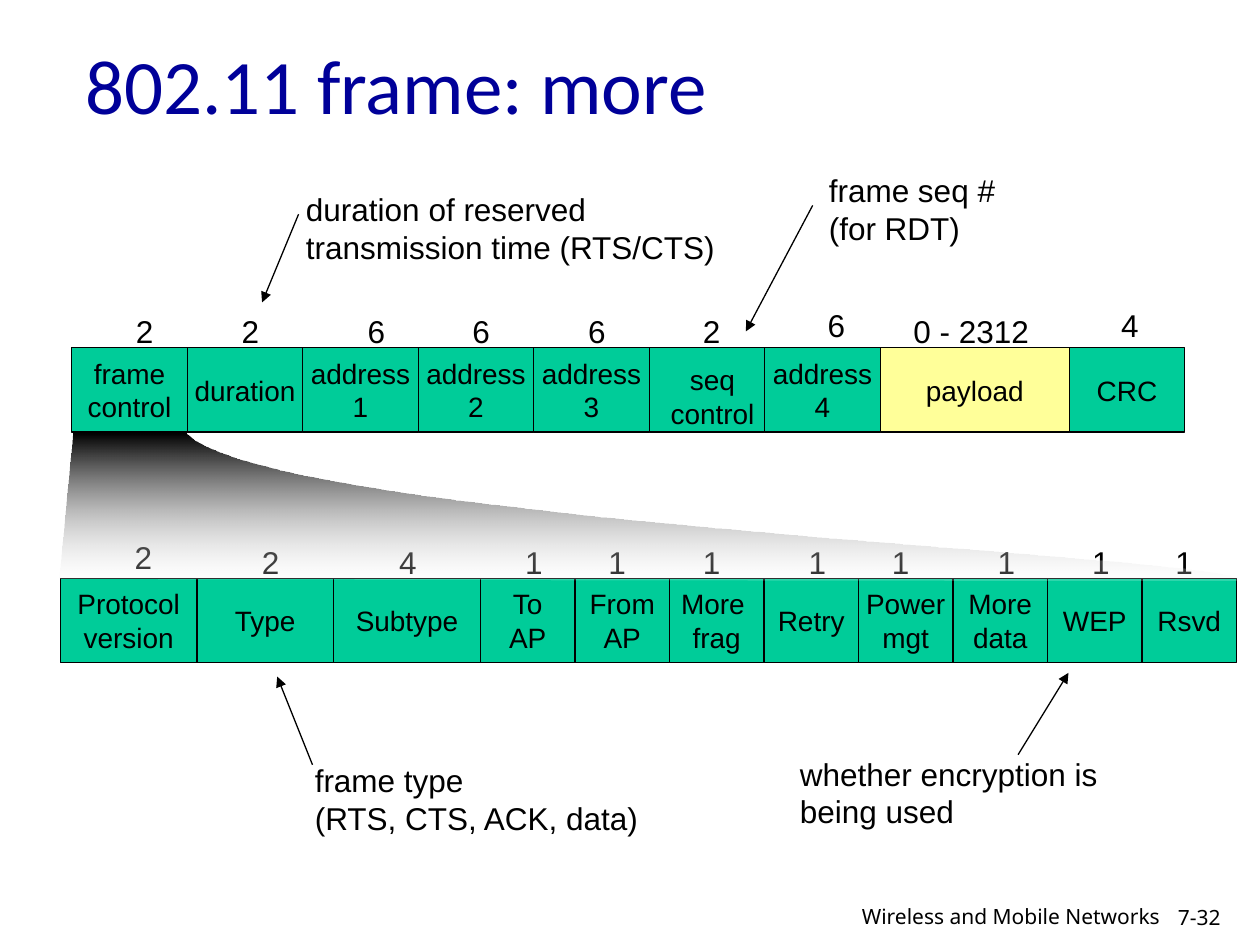
from dataclasses import dataclass

from lxml.etree import SubElement
from pptx import Presentation
from pptx.dml.color import RGBColor
from pptx.enum.shapes import MSO_CONNECTOR, MSO_SHAPE
from pptx.enum.text import MSO_ANCHOR, MSO_AUTO_SIZE, PP_ALIGN
from pptx.oxml.ns import qn
from pptx.util import Inches, Pt


@dataclass(frozen=True)
class Theme:
    ink: str = "000000"
    title: str = "000099"
    field: str = "00CC99"
    payload: str = "FFFF99"
    paper: str = "FFFFFF"
    body_font: str = "Arial"
    title_font: str = "Calibri"
    footer_font: str = "Noto Sans"
    title_size: int = 44
    note_size: int = 18
    field_size: int = 16
    footer_size: int = 12
    line_width: float = 0.75


class FrameSlide:
    def __init__(self, slide, theme):
        self.slide = slide
        self.theme = theme

    def set_text(self, frame, text, size, font=None, color=None, align=PP_ALIGN.LEFT):
        frame.text = text
        for paragraph in frame.paragraphs:
            paragraph.alignment = align
            for run in paragraph.runs:
                run.font.size = Pt(size)
                run.font.name = font or self.theme.body_font
                run.font.color.rgb = RGBColor.from_string(color or self.theme.ink)

    def label(self, text, box, size, parent=None, wrap=False, **style):
        shapes = (parent or self.slide).shapes
        frame = shapes.add_textbox(*map(Inches, box)).text_frame
        frame.word_wrap = wrap
        frame.auto_size = MSO_AUTO_SIZE.NONE if wrap else MSO_AUTO_SIZE.SHAPE_TO_FIT_TEXT
        self.set_text(frame, text, size, **style)

    def field(self, parent, text, box, color):
        cell = parent.shapes.add_shape(MSO_SHAPE.RECTANGLE, *map(Inches, box))
        cell.shadow.inherit = False
        cell.fill.solid()
        cell.fill.fore_color.rgb = RGBColor.from_string(color)
        cell.line.color.rgb = RGBColor.from_string(self.theme.ink)
        cell.line.width = Pt(self.theme.line_width)
        if text:
            frame = cell.text_frame
            frame.word_wrap = False
            frame.vertical_anchor = MSO_ANCHOR.MIDDLE
            self.set_text(frame, text, self.theme.field_size, align=PP_ALIGN.CENTER)

    def frame_row(self, left, top, fields, sizes):
        """Lay fields side by side; widths are in twelfths of an inch."""
        row = self.slide.shapes.add_group_shape()
        for text, twelfths in fields:
            width = twelfths / 12
            color = self.theme.payload if text == "payload" else self.theme.field
            self.field(row, text, (left, top, width, 0.67), color)
            left += width
        for text, x, y in sizes:
            width = 0.34 if len(text) == 1 else 1.12
            self.label(text, (x, y, width, 0.4), self.theme.note_size, row)
        return row

    def arrow(self, start, end):
        line = self.slide.shapes.add_connector(
            MSO_CONNECTOR.STRAIGHT, *map(Inches, start + end))
        line.line.color.rgb = RGBColor.from_string(self.theme.ink)
        line.line.width = Pt(self.theme.line_width)
        properties = line._element.spPr
        SubElement(properties.find(qn("a:ln")), qn("a:tailEnd"), type="triangle")
        SubElement(properties, qn("a:effectLst"))

    def fading_area(self, points, end_alpha):
        corners = [tuple(map(Inches, point)) for point in points]
        builder = self.slide.shapes.build_freeform(*corners[0])
        builder.add_line_segments(corners[1:], close=True)
        area = builder.convert_to_shape()
        area.shadow.inherit = False
        area.line.fill.background()
        area.fill.gradient()
        area.fill.gradient_angle = 270
        stops = area.fill.gradient_stops
        for stop, color in zip(stops, (self.theme.ink, self.theme.paper)):
            stop.color.rgb = RGBColor.from_string(color)
        last_color = list(area._element.spPr.iter(qn("a:srgbClr")))[-1]
        SubElement(last_color, qn("a:alpha"), val=str(end_alpha * 1000))


def bezier(p0, p1, p2, p3, steps=40):
    for step in range(1, steps + 1):
        t = step / steps
        u = 1 - t
        yield tuple(u**3 * a + 3 * u * u * t * b + 3 * u * t * t * c + t**3 * d
                    for a, b, c, d in zip(p0, p1, p2, p3))


theme = Theme()
deck = Presentation()
deck.slide_width, deck.slide_height = Inches(10), Inches(7.5)
page = FrameSlide(deck.slides.add_slide(deck.slide_layouts[6]), theme)

# Frame fields with their byte counts
frame_fields = [
    ("frame\ncontrol", 11), ("duration", 11), ("address\n1", 11),
    ("address\n2", 11), ("address\n3", 11), ("", 11), ("address\n4", 11),
    ("payload", 18), ("CRC", 11),
]
byte_counts = [
    ("2", 0.98, 2.43), ("2", 1.82, 2.43), ("6", 2.82, 2.43),
    ("6", 3.65, 2.43), ("6", 4.57, 2.43), ("2", 5.48, 2.43),
    ("6", 6.47, 2.38), ("0 - 2312", 7.15, 2.43), ("4", 8.8, 2.38),
]
frame_row = page.frame_row(0.57, 2.76, frame_fields, byte_counts)
page.label("seq\ncontrol", (5.22, 2.83, 0.87, 0.64), theme.field_size,
           frame_row, align=PP_ALIGN.CENTER)

# Frame control fields with their bit counts
control_fields = [
    ("Protocol\nversion", 13), ("Type", 13), ("Subtype", 14), ("To\nAP", 9),
    ("From\nAP", 9), ("More \nfrag", 9), ("Retry", 9), ("Power\nmgt", 9),
    ("More\ndata", 9), ("WEP", 9), ("Rsvd", 9),
]
bit_counts = [("2", 0.97, 4.22), ("2", 1.98, 4.26), ("4", 3.07, 4.26)]
bit_counts += [("1", x, 4.26)
               for x in (4.07, 4.73, 5.48, 6.32, 6.98, 7.82, 8.57, 9.23)]
page.frame_row(0.48, 4.59, control_fields, bit_counts)

# Zoom from the frame control field to its parts
zoom_right = (9.83, 4.61)
zoom_edge = bezier(zoom_right, (10, 4.41), (2.16, 4.15), (1.48, 3.44))
page.fading_area([(0.58, 3.44), (0.47, 4.59), zoom_right, *zoom_edge], end_alpha=18)

# Notes and their arrows
notes = [
    ("duration of reserved \ntransmission time (RTS/CTS)",
     (2.33, 1.46, 3.48, 0.71), (2.37, 1.7), (2.08, 2.4)),
    ("frame seq #\n(for RDT)",
     (6.48, 1.31, 1.53, 0.71), (6.45, 1.63), (5.92, 2.63)),
    ("frame type\n(RTS, CTS, ACK, data)",
     (2.4, 5.99, 2.82, 0.7), (2.48, 6.07), (2.2, 5.37)),
    ("whether encryption is \nbeing used",
     (6.25, 5.94, 2.71, 0.71), (8.08, 5.99), (8.48, 5.34)),
]
for text, box, start, end in notes:
    page.label(text, box, theme.note_size)
    page.arrow(start, end)

# Title and footer
page.label("802.11 frame: more", (0.58, 0.25, 8.5, 1.25), theme.title_size,
           wrap=True, font=theme.title_font, color=theme.title)
page.label("7-32", (9.25, 7.13, 0.75, 0.3), theme.footer_size,
           wrap=True, font=theme.footer_font)
page.label("Wireless and Mobile Networks ", (6.4, 7.12, 2.95, 0.28),
           theme.footer_size, wrap=True, font=theme.footer_font,
           align=PP_ALIGN.RIGHT)

deck.save("out.pptx")
